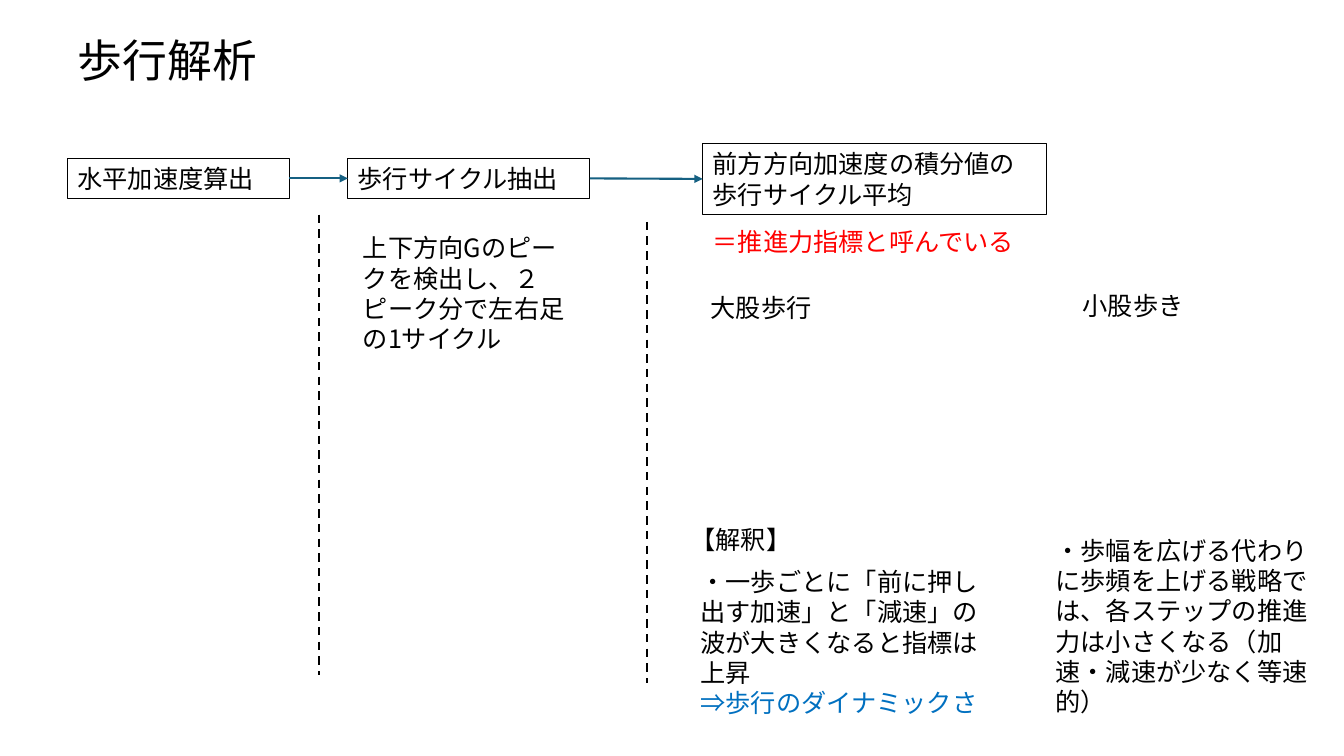
from lxml import etree
from pptx import Presentation
from pptx.dml.color import RGBColor
from pptx.enum.dml import MSO_LINE
from pptx.enum.shapes import MSO_CONNECTOR, MSO_SHAPE
from pptx.enum.text import MSO_ANCHOR, PP_ALIGN
from pptx.oxml.ns import qn
from pptx.util import Inches, Pt

STRAIGHT = MSO_CONNECTOR.STRAIGHT
RECTANGLE = MSO_SHAPE.RECTANGLE
DASH = MSO_LINE.DASH
MIDDLE = MSO_ANCHOR.MIDDLE
LEFT = PP_ALIGN.LEFT
LEFT_SIDE, RIGHT_SIDE = 1, 3

FONT = "Noto Sans CJK JP"
COLORS = {"black": "000000", "red": "FF0000", "blue": "0070C0", "arrow": "156082"}

STEPS = [
    ("水平加速度算出", 0.67, 1.57, 2.2, 0.4),
    ("歩行サイクル抽出", 3.45, 1.57, 2.4, 0.4),
    ("前方方向加速度の積分値の歩行サイクル平均", 6.97, 1.42, 3.41, 0.71),
]
NOTES = [
    ([("・歩幅を広げる代わりに歩頻を上げる戦略では、各ステップの推進力は小さくなる"
       "（加速・減速が少なく等速的）", "black")], 10.37, 5.26, 2.86, 1.92),
    ([("小股歩き", "black")], 10.64, 2.83, 1.53, 0.4),
    ([("・一歩ごとに「前に押し出す加速」と「減速」の波が大きくなると指標は上昇", "black"),
      ("⇒歩行のダイナミックさ", "blue")], 6.85, 5.57, 2.99, 1.62),
    ([("＝推進力指標と呼んでいる", "red")], 6.97, 2.2, 3.41, 0.4),
    ([("上下方向Gのピークを検出し、２ピーク分で左右足の1サイクル", "black")],
     3.5, 2.26, 2.35, 1.31),
    ([("【解釈】", "black")], 6.75, 5.15, 1.73, 0.4),
    ([("大股歩行", "black")], 6.95, 2.85, 2.04, 0.4),
]
DIVIDERS = [(3.16, 2.13, 6.7), (6.42, 2.2, 6.78)]


def rgb(name):
    return RGBColor.from_string(COLORS[name])


def format_paragraph(p, size, color):
    """Set size, colour and both the Latin and East Asian typeface."""
    p.alignment = LEFT
    p.font.size = Pt(size)
    p.font.color.rgb = rgb(color)
    p.font.name = FONT
    defaults = p._p.pPr.find(qn("a:defRPr"))
    etree.SubElement(defaults, qn("a:ea"), typeface=FONT)


def write(tf, paragraphs, size=18):
    tf.word_wrap = True
    for i, (text, color) in enumerate(paragraphs):
        p = tf.add_paragraph() if i else tf.paragraphs[0]
        p.text = text
        format_paragraph(p, size, color)


def add_title(slide, text):
    title = slide.shapes.title
    title.left, title.top = Inches(0.67), Inches(0.32)
    title.width, title.height = Inches(11.5), Inches(0.6)
    tf = title.text_frame
    tf.vertical_anchor = MIDDLE
    write(tf, [(text, "black")], 32)
    tf.paragraphs[0].line_spacing = 0.9


def add_step(slide, text, *box):
    sp = slide.shapes.add_shape(RECTANGLE, *map(Inches, box))
    sp.shadow.inherit = False
    sp.fill.background()
    sp.line.color.rgb = rgb("black")
    sp.line.width = Pt(0.75)
    sp.text_frame.vertical_anchor = MIDDLE
    write(sp.text_frame, [(text, "black")])
    return sp


def add_note(slide, paragraphs, *box):
    sp = slide.shapes.add_textbox(*map(Inches, box))
    write(sp.text_frame, paragraphs)


def add_line(slide, color, x1=0, y1=0, x2=0, y2=0):
    line = slide.shapes.add_connector(STRAIGHT, *map(Inches, (x1, y1, x2, y2)))
    line.line.color.rgb = rgb(color)
    line.line.width = Pt(1.5)
    etree.SubElement(line._element.spPr, qn("a:effectLst"))
    return line


def add_arrow(slide, start, end):
    arrow = add_line(slide, "arrow")
    arrow.begin_connect(start, RIGHT_SIDE)
    arrow.end_connect(end, LEFT_SIDE)
    ln = arrow.line._get_or_add_ln()
    etree.SubElement(ln, qn("a:tailEnd"), type="triangle")


def main():
    prs = Presentation()
    prs.slide_width, prs.slide_height = Inches(13.33), Inches(7.5)
    slide = prs.slides.add_slide(prs.slide_layouts[5])
    add_title(slide, "歩行解析")
    steps = [add_step(slide, *step) for step in STEPS]
    for note in NOTES:
        add_note(slide, *note)
    for start, end in zip(steps, steps[1:]):
        add_arrow(slide, start, end)
    for x, top, bottom in DIVIDERS:
        add_line(slide, "black", x, top, x, bottom).line.dash_style = DASH
    prs.save("out.pptx")


if __name__ == "__main__":
    main()
